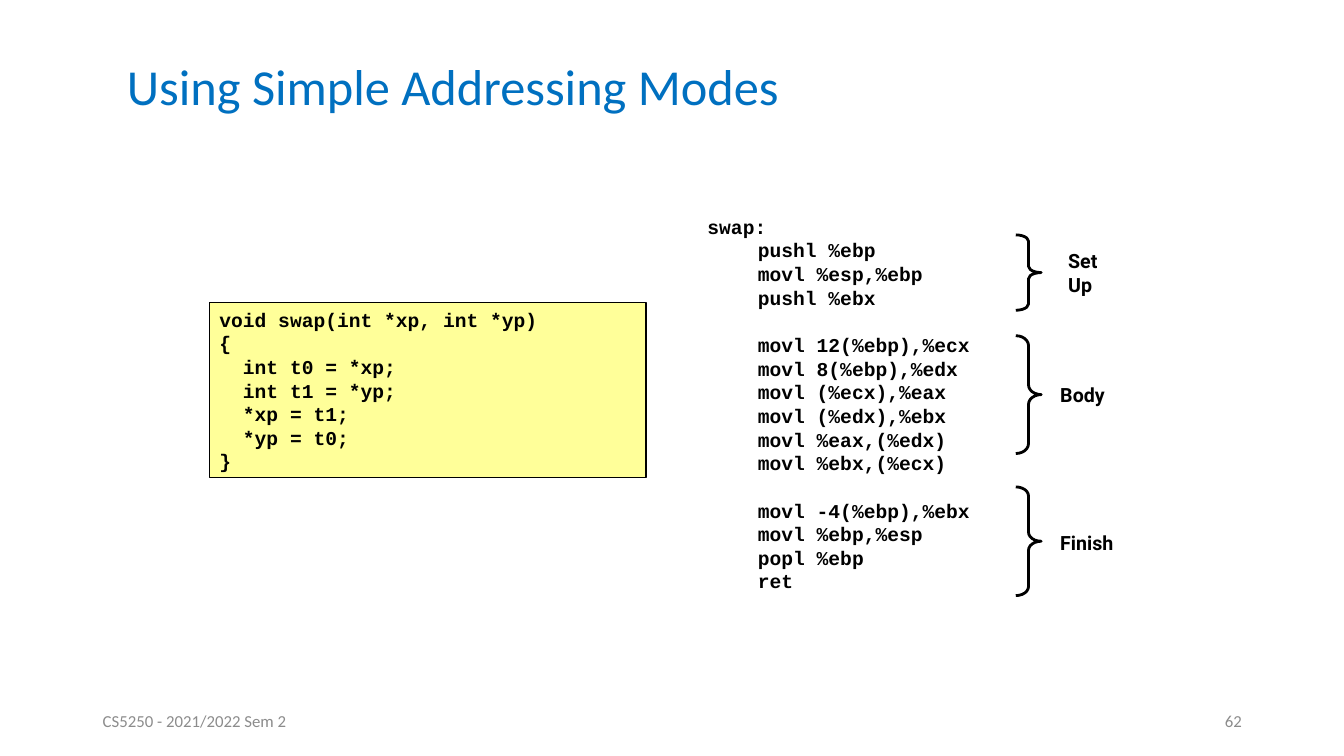
from lxml.etree import SubElement
from pptx import Presentation
from pptx.dml.color import RGBColor
from pptx.enum.shapes import MSO_SHAPE as Geo
from pptx.enum.text import MSO_ANCHOR as Anchor, MSO_AUTO_SIZE as Auto, PP_ALIGN as Align
from pptx.oxml.ns import qn
from pptx.util import Cm, Pt


def color(text):
    return RGBColor.from_string(text)


def write(shape, lines, style, ink, anchor=Anchor.MIDDLE, fit=Auto.NONE, wrap=True, **layout):
    """Fill a shape with lines; an empty line becomes space before the next."""
    frame = shape.text_frame
    form = {"word_wrap": wrap, "auto_size": fit, "vertical_anchor": anchor}
    for key, value in form.items():
        setattr(frame, key, value)
    first, gap = True, False
    for line in lines:
        if not line:
            gap = True
            continue
        para = frame.paragraphs[0] if first else frame.add_paragraph()
        if line.startswith("\t"):
            tabs = SubElement(para._p.get_or_add_pPr(), qn("a:tabLst"))
            SubElement(tabs, qn("a:tab"), pos=str(Cm(1.27)), algn="l")
        for key, value in {"alignment": Align.LEFT, **layout}.items():
            setattr(para, key, value)
        if gap:
            para.space_before = PITCH
        run = para.add_run()
        run.text = line
        for key, value in style.items():
            setattr(run.font, key, value)
        run.font.color.rgb = color(ink)
        first, gap = False, False


PITCH = Pt(16.9)
BLACK = "000000"
small = {"name": "Calibri", "size": Pt(12)}
large = {"name": "Calibri", "size": Pt(36)}
mono = {"name": "Courier New", "size": Pt(14), "bold": True}
label = {"name": "Roboto", "size": Pt(14), "bold": True}

deck = Presentation()
deck.slide_width, deck.slide_height = Cm(33.87), Cm(19.05)
slide = deck.slides.add_slide(deck.slide_layouts[6])
shapes = slide.shapes

# Footer
for left, text, side in [(2.34, "CS5250 - 2021/2022 Sem 2", Align.LEFT),
                         (23.93, "62", Align.RIGHT)]:
    box = shapes.add_textbox(Cm(left), Cm(17.65), Cm(7.62), Cm(1.02))
    write(box, [text], small, "8C8C8C", alignment=side)

# Title
box = shapes.add_textbox(Cm(2.95), Cm(1.09), Cm(22.94), Cm(2.34))
write(box, ["Using Simple Addressing Modes"], large, "0070C0", line_spacing=0.9)

# C source
source = """void swap(int *xp, int *yp)
{
  int t0 = *xp;
  int t1 = *yp;
  *xp = t1;
  *yp = t0;
}"""
card = shapes.add_shape(Geo.RECTANGLE, Cm(5.28), Cm(7.62), Cm(11), Cm(4.42))
card.shadow.inherit = False
card.fill.solid()
card.fill.fore_color.rgb = color("FFFF99")
card.line.color.rgb = color(BLACK)
card.line.width = Pt(1)
write(card, source.split("\n"), mono, BLACK, Anchor.TOP, Auto.SHAPE_TO_FIT_TEXT,
      line_spacing=PITCH)

# Assembly
code = """swap:
	pushl %ebp
	movl %esp,%ebp
	pushl %ebx

	movl 12(%ebp),%ecx
	movl 8(%ebp),%edx
	movl (%ecx),%eax
	movl (%edx),%ebx
	movl %eax,(%edx)
	movl %ebx,(%ecx)

	movl -4(%ebp),%ebx
	movl %ebp,%esp
	popl %ebp
	ret"""
box = shapes.add_textbox(Cm(17.58), Cm(5.28), Cm(9.32), Cm(9.83))
write(box, code.split("\n"), mono, BLACK, Anchor.TOP, Auto.SHAPE_TO_FIT_TEXT,
      line_spacing=PITCH)

# Braces and their labels: brace top and height, label box, lines
width = 0.64
parts = [
    (5.92, 1.9, (26.67, 6.15, 1.3, 1.45), ["Set", "Up"]),
    (8.46, 2.97, (26.47, 9.52, 1.75, 0.86), ["Body"]),
    (12.27, 2.74, (26.47, 13.26, 1.96, 0.84), ["Finish"]),
]
for top, height, place, lines in parts:
    brace = shapes.add_shape(Geo.RIGHT_BRACE, Cm(25.6), Cm(top), Cm(width), Cm(height))
    brace.shadow.inherit = False
    brace.adjustments[0] = height / width / 12
    brace.fill.background()
    brace.line.color.rgb = color(BLACK)
    brace.line.width = Pt(2)
    box = shapes.add_textbox(*[Cm(size) for size in place])
    write(box, lines, label, BLACK, Anchor.TOP, Auto.SHAPE_TO_FIT_TEXT, False)

deck.save("out.pptx")
